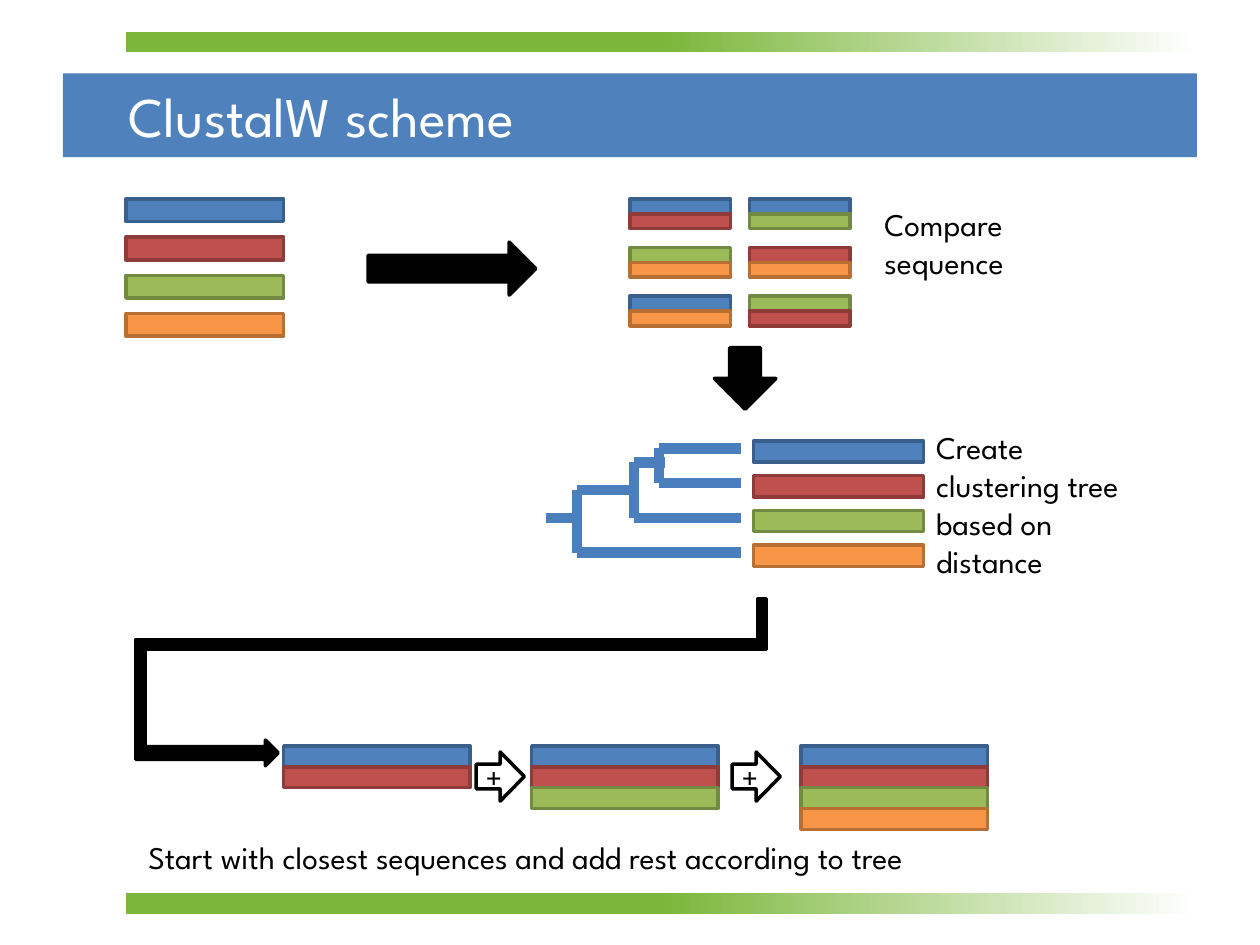
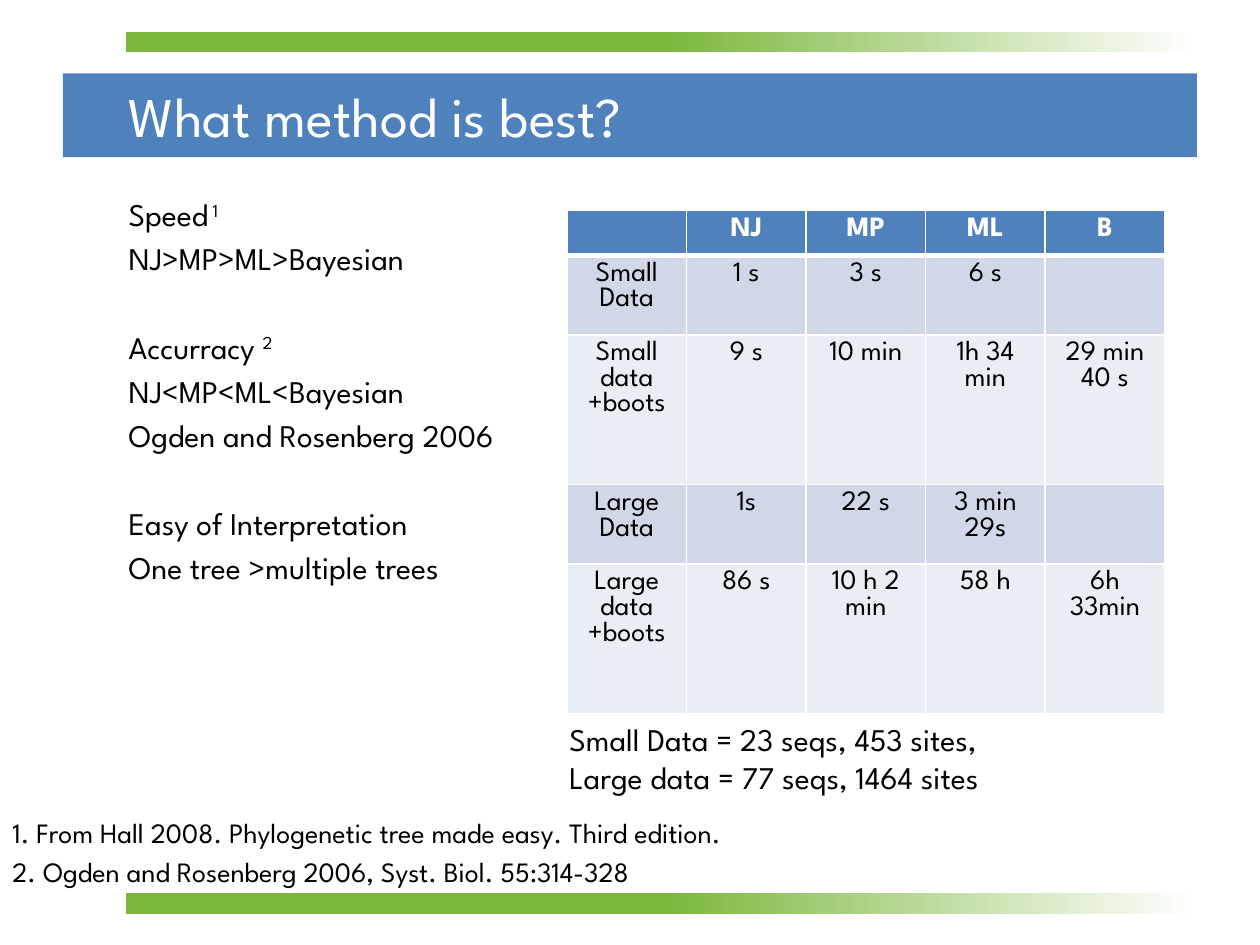
from lxml.etree import SubElement
from pptx import Presentation
from pptx.dml.color import RGBColor
from pptx.enum.shapes import MSO_CONNECTOR, MSO_SHAPE
from pptx.enum.text import MSO_ANCHOR, MSO_AUTO_SIZE, PP_ALIGN
from pptx.oxml.ns import qn
from pptx.util import Cm, Pt

FONT = "League Spartan"
COLORS = {
    "black": "000000", "white": "FFFFFF", "strip": "7BB73B", "branch": "4B7EBC",
    "blue": "4F81BD", "red": "C0504D", "green": "9BBB59", "orange": "F79646",
    "blue edge": "3A5F8C", "red edge": "8E3B39",
    "green edge": "738A42", "orange edge": "B76F34",
    "row dark": "D0D8E8", "row light": "E9EDF4",
}
SEQUENCES = ["blue", "red", "green", "orange"]
TITLE_ONLY, TITLE_AND_BODY = 5, 1


def rgb(name):
    return RGBColor.from_string(COLORS[name])


class Deck:
    """Holds the shared style and the slide being built."""

    def __init__(self):
        self.prs = Presentation()
        self.prs.slide_width, self.prs.slide_height = Cm(25.4), Cm(19.05)
        self.s = None

    def slide(self, layout, title):
        first = self.s is None
        self.s = self.prs.slides.add_slide(self.prs.slide_layouts[layout])
        if first:
            self.master_bands()
        tf = self.place(self.s.shapes.title, 2.34, 1.48, 21.79, 1.69)
        tf.vertical_anchor = MSO_ANCHOR.MIDDLE
        self.paragraph(tf, title, 32, "white", align=PP_ALIGN.LEFT)

    def master_bands(self):
        """Draw the title band and both strips, then move them to the master."""
        bands = [self.shape(1.27, 1.48, 22.86, 1.69, "blue")]
        for y in (0.64, 18):
            strip = self.shape(2.54, y, 21.59, 0.42, "strip")
            strip.fill.gradient()
            strip.fill.gradient_angle = 0
            stops = strip.fill.gradient_stops
            for stop, position, color in zip(stops, (0.5, 1), ("strip", "white")):
                stop.position = position
                stop.color.rgb = rgb(color)
            bands.append(strip)
        tree = self.prs.slide_master.shapes._spTree
        for i, band in enumerate(bands):
            tree.insert(2 + i, band._element)

    def place(self, sp, x, y, w, h):
        sp.left, sp.top, sp.width, sp.height = Cm(x), Cm(y), Cm(w), Cm(h)
        tf = sp.text_frame
        tf.word_wrap = True
        tf.auto_size = MSO_AUTO_SIZE.NONE
        return tf

    def paragraph(self, tf, text, size=18, color="black", bold=False,
                  align=None, superscript="", hanging=False, spaced=True):
        p = tf.paragraphs[0]
        if p.runs:
            p = tf.add_paragraph()
        if hanging:
            pPr = p._p.get_or_add_pPr()
            pPr.set("marL", str(Cm(0.95)))
            pPr.set("indent", str(-Cm(0.95)))
            SubElement(pPr, qn("a:buNone"))
            p.space_before = Pt(0 if p._p is tf.paragraphs[0]._p else size * 0.2)
        if spaced:
            p.line_spacing = Pt(size * 1.2)
        if align is not None:
            p.alignment = align
        for part in filter(None, (text, superscript)):
            r = p.add_run()
            r.text = part
            r.font.name, r.font.size, r.font.bold = FONT, Pt(size), bold
            r.font.color.rgb = rgb(color)
        if superscript:
            r.font._element.set("baseline", "30000")
        return p

    def text(self, x, y, w, h, lines, size=18, hanging=False):
        box = self.s.shapes.add_textbox(Cm(x), Cm(y), Cm(w), Cm(h))
        tf = self.place(box, x, y, w, h)
        for line in lines:
            self.paragraph(tf, line, size, hanging=hanging)

    def shape(self, x, y, w, h, fill, edge=None, kind=MSO_SHAPE.RECTANGLE):
        sp = self.s.shapes.add_shape(kind, Cm(x), Cm(y), Cm(w), Cm(h))
        sp.shadow.inherit = False
        sp.fill.solid()
        sp.fill.fore_color.rgb = rgb(fill)
        if edge:
            sp.line.color.rgb = rgb(edge)
            sp.line.width = Pt(2)
        else:
            sp.line.fill.background()
        return sp

    def arrow(self, x, y, w, h, fill="black"):
        return self.shape(x, y, w, h, fill, "black", MSO_SHAPE.RIGHT_ARROW)

    def stack(self, x, y, w, h, step, colors):
        for i, color in enumerate(colors):
            self.shape(x, y + i * step, w, h, color, f"{color} edge")

    def branch(self, x1, y1, x2, y2):
        line = self.s.shapes.add_connector(
            MSO_CONNECTOR.STRAIGHT, Cm(x1), Cm(y1), Cm(x2), Cm(y2))
        line.line.color.rgb = rgb("branch")
        line.line.width = Pt(6)
        SubElement(line._element.spPr, qn("a:effectLst"))

    def table(self, x, y, col_width, row_heights, rows):
        width, height = col_width * len(rows[0]), sum(row_heights)
        table = self.s.shapes.add_table(
            len(rows), len(rows[0]), Cm(x), Cm(y), Cm(width), Cm(height)).table
        for col in table.columns:
            col.width = Cm(col_width)
        for i, (values, row_height) in enumerate(zip(rows, row_heights)):
            table.rows[i].height = Cm(row_height)
            for j, value in enumerate(values):
                self.cell(table.cell(i, j), value, i)

    def cell(self, cell, value, row):
        header = row == 0
        widths = {"L": 1, "R": 1, "T": 3 if row == 1 else 1, "B": 3 if header else 1}
        tcPr = cell._tc.get_or_add_tcPr()
        for side, width in widths.items():
            ln = SubElement(tcPr, qn(f"a:ln{side}"), w=str(Pt(width)))
            fill = SubElement(ln, qn("a:solidFill"))
            SubElement(fill, qn("a:srgbClr"), val=COLORS["white"])
        cell.fill.solid()
        cell.fill.fore_color.rgb = rgb(
            "blue" if header else "row dark" if row % 2 else "row light")
        for line in value.split("\n"):
            p = self.paragraph(cell.text_frame, line, 16, "white" if header else "black",
                               header, PP_ALIGN.CENTER, spaced=False)
        if not value:
            end = SubElement(p._p, qn("a:endParaRPr"), sz="1600")
            SubElement(end, qn("a:latin"), typeface=FONT)


def clustal_slide(deck):
    deck.slide(TITLE_ONLY, "ClustalW scheme")

    # Input sequences
    deck.stack(2.54, 4.01, 3.18, 0.46, 0.77, SEQUENCES)
    deck.arrow(7.42, 4.88, 3.38, 1.07)

    # Pairwise comparison
    pairs = [("blue", "red"), ("blue", "green"),
             ("green", "orange"), ("red", "orange"),
             ("blue", "orange"), ("green", "red")]
    for i, pair in enumerate(pairs):
        row, col = divmod(i, 2)
        deck.stack(12.7 + 2.41 * col, 4.01 + 0.98 * row, 2.03, 0.3, 0.3, pair)
    deck.text(17.58, 4.01, 4.88, 1.8, ["Compare sequence"])
    deck.arrow(14.4, 7.01, 1.24, 1.24).rotation = 90

    # Clustering tree: leaves, then each node with its stem
    deck.stack(15.19, 8.89, 3.43, 0.43, 0.7, SEQUENCES)
    nodes = [13.28, 12.78, 11.63]
    leaf_ys = [9.04 + 0.7 * i for i in range(4)]
    stem_ys = [9.32 + 0.56 * i for i in range(3)]
    for x, y in zip(nodes[:1] + nodes, leaf_ys):
        deck.branch(14.94, y, x, y)
    for x, top, bottom in zip(nodes, leaf_ys[:1] + stem_ys, leaf_ys[1:]):
        deck.branch(x, top, x, bottom)
    for start, end, y in zip([13.41] + nodes[1:], nodes[1:] + [11], stem_ys):
        deck.branch(start, y, end, y)
    deck.text(18.62, 8.51, 4.24, 3.33, ["Create clustering tree based on distance"])

    # Bent arrow down to the alignment
    deck.arrow(2.74, 14.92, 2.87, 0.52)
    for x, y, w, h in [(2.74, 12.9, 12.7, 0.18), (2.74, 12.9, 0.18, 2.21),
                       (15.27, 12.07, 0.18, 1.02)]:
        deck.shape(x, y, w, h, "black", "black")

    # Progressive alignment
    for count, x in enumerate((5.72, 10.72, 16.15), start=2):
        deck.stack(x, 15.04, 3.76, 0.42, 0.42, SEQUENCES[:count])
    for x in (9.6, 14.76):
        tf = deck.arrow(x, 15.16, 0.97, 0.99, "white").text_frame
        tf.margin_left = tf.margin_right = tf.margin_top = tf.margin_bottom = 0
        tf.vertical_anchor = MSO_ANCHOR.MIDDLE
        deck.paragraph(tf, "+", align=PP_ALIGN.CENTER)
    deck.text(2.74, 16.76, 20.32, 1.02,
              ["Start with closest sequences and add rest according to tree"])


def method_slide(deck):
    deck.slide(TITLE_AND_BODY, "What method is best?")

    # Criteria, in groups set apart by one line
    groups = [
        [("Speed", " 1"), ("NJ>MP>ML>Bayesian", "")],
        [("Accurracy ", "2"), ("NJ<MP<ML<Bayesian", ""), ("Ogden and Rosenberg 2006", "")],
        [("Easy of Interpretation", ""), ("One tree >multiple trees", "")],
    ]
    tf = deck.place(deck.s.placeholders[1], 2.34, 3.81, 10.36, 13.2)
    for g, group in enumerate(groups):
        for i, (text, note) in enumerate(group):
            p = deck.paragraph(tf, text, superscript=note, hanging=True)
            if g and i == 0:
                p.space_before = Pt(28.8)

    # Running times
    deck.table(11.43, 4.24, 2.41, [0.91, 1.6, 3.02, 1.6, 3.02], [
        ["", "NJ", "MP", "ML", "B"],
        ["Small Data", "1 s", "3 s", "6 s", ""],
        ["Small data\n+boots", "9 s", "10 min", "1h 34 min", "29 min 40 s"],
        ["Large Data", "1s", "22 s", "3 min 29s", ""],
        ["Large data\n+boots", "86 s", "10 h 2 min", "58 h", "6h 33min"],
    ])
    deck.text(11.23, 14.4, 13.77, 1.8,
              ["Small Data = 23 seqs, 453 sites,", "Large data = 77 seqs, 1464 sites"])

    # References
    deck.text(0, 16.31, 25.4, 1.75,
              ["1. From Hall 2008. Phylogenetic tree made easy. Third edition.",
               "2. Ogden and Rosenberg 2006, Syst. Biol. 55:314-328"], 16, hanging=True)


def main():
    deck = Deck()
    clustal_slide(deck)
    method_slide(deck)
    deck.prs.save("out.pptx")


if __name__ == "__main__":
    main()
